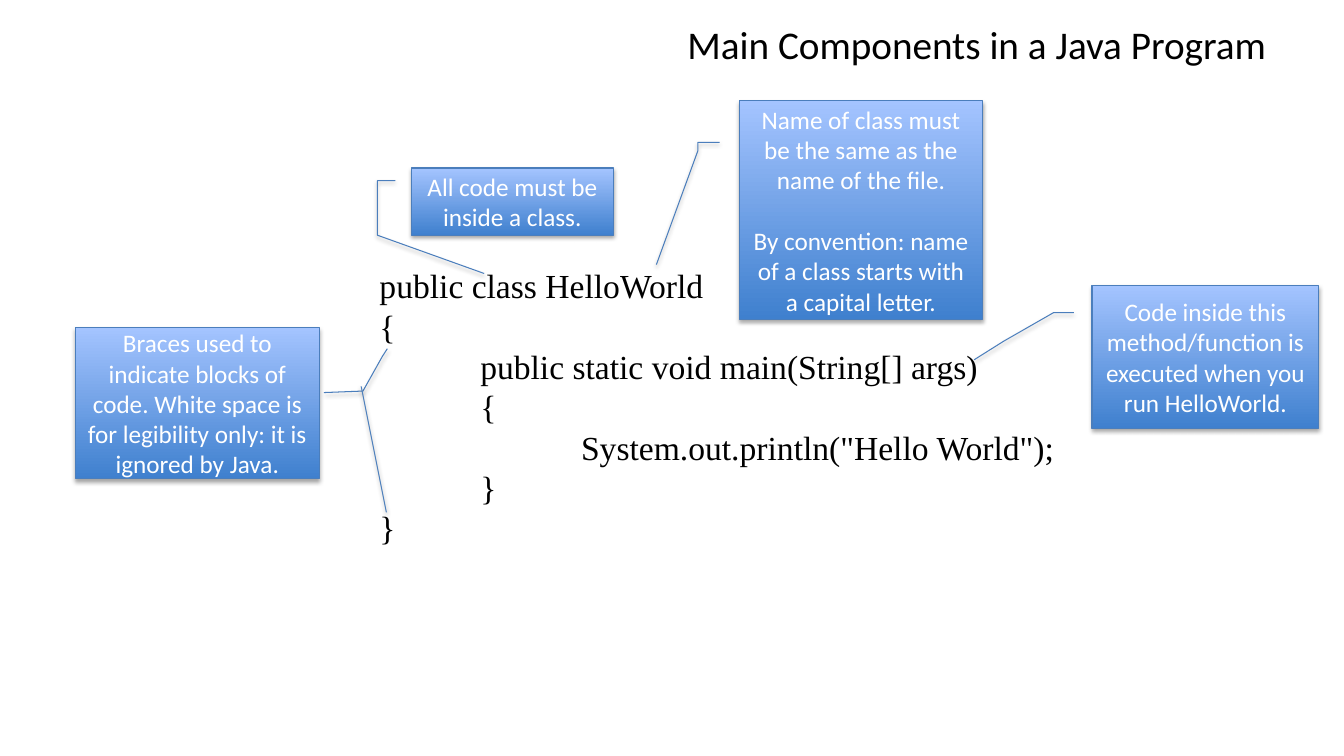
from lxml import etree
from pptx import Presentation
from pptx.dml.color import RGBColor
from pptx.enum.shapes import MSO_CONNECTOR, MSO_SHAPE
from pptx.enum.text import MSO_ANCHOR, MSO_AUTO_SIZE, PP_ALIGN
from pptx.oxml.ns import qn
from pptx.util import Pt

BLACK = RGBColor(0x00, 0x00, 0x00)
WHITE = RGBColor(0xFF, 0xFF, 0xFF)
DEEP_BLUE = RGBColor(0x3F, 0x80, 0xCE)
PALE_BLUE = RGBColor(0xA4, 0xC4, 0xFF)
BORDER = RGBColor(0x4B, 0x7E, 0xBC)
BRACE_LINE = RGBColor(0x4F, 0x81, 0xBD)

# Content: boxes are left, top, width, height in points
TITLE = "Main Components in a Java Program"
TITLE_BOX = (285, 0, 626.5, 62.5)
CODE = [
    "public class HelloWorld",
    "{",
    "\tpublic static void main(String[] args)",
    "\t{",
    '\t\tSystem.out.println("Hello World");',
    "\t}",
    "}",
]
CODE_BOX = (264, 186, 606, 211)
TAB = 72

# Callouts: box, leader points as (y, x) fractions of the box, paragraphs
CALLOUTS = [
    ((294, 120, 144, 48),
     [(0.19, -0.08), (0.19, -0.17), (1, -0.17), (1.57, 0.36)],
     ["All code must be inside a class."]),
    ((528, 72, 174, 156),
     [(0.19, -0.08), (0.19, -0.17), (0.23, -0.17), (0.75, -0.34)],
     ["Name of class must be the same as the name of the file.",
      "By convention: name of a class starts with a capital letter."]),
    ((54, 234, 174, 108),
     [(0.43, 1.02), (0.42, 1.18), (0.19, 1.26), (0.14, 1.28)],
     ["Braces used to indicate blocks of code. White space is for "
      "legibility only: it is ignored by Java."]),
    ((780, 204, 162, 102),
     [(0.19, -0.08), (0.19, -0.17), (0.39, -0.39), (0.52, -0.52)],
     ["Code inside this method/function is executed when you run HelloWorld."]),
]
PARAGRAPH_GAP = 22
CLOSING_BRACE_LINE = (258, 276, 276, 366)

TITLE_FONT = {"name": "Calibri", "size": Pt(28)}
CODE_FONT = {"name": "Times New Roman", "size": Pt(24)}
CALLOUT_FONT = {"name": "Calibri", "size": Pt(18)}


def points(values):
    return [Pt(v) for v in values]


def write(tf, lines, font, color, align, gap=0):
    for i, line in enumerate(lines):
        p = tf.paragraphs[0] if i == 0 else tf.add_paragraph()
        p.alignment = align
        if i and gap:
            p.space_before = Pt(gap)
        r = p.add_run()
        r.text = line
        for key, value in font.items():
            setattr(r.font, key, value)
        r.font.color.rgb = color


def outline(sp, color):
    sp.line.color.rgb = color
    sp.line.width = Pt(0.75)


def add_shadow(sp, distance, opacity):
    effects = etree.SubElement(sp._element.spPr, qn("a:effectLst"))
    shadow = etree.SubElement(
        effects, qn("a:outerShdw"), blurRad=str(Pt(3.1)),
        dist=str(Pt(distance)), dir="5400000", rotWithShape="0")
    black = etree.SubElement(shadow, qn("a:srgbClr"), val=str(BLACK))
    etree.SubElement(black, qn("a:alpha"), val=str(opacity * 1000))


def add_callout(slide, box, leader, lines):
    sp = slide.shapes.add_shape(MSO_SHAPE.LINE_CALLOUT_3, *points(box))
    for i, value in enumerate(v for point in leader for v in point):
        sp.adjustments[i] = value
    sp.fill.gradient()
    sp.fill.gradient_angle = 90
    for stop, color in zip(sp.fill.gradient_stops, (DEEP_BLUE, PALE_BLUE)):
        stop.color.rgb = color
    for stop, position in zip(sp.fill.gradient_stops, (0, 1)):
        stop.position = position
    outline(sp, BORDER)
    add_shadow(sp, 1.8, 35)
    tf = sp.text_frame
    tf.word_wrap = True
    tf.vertical_anchor = MSO_ANCHOR.MIDDLE
    write(tf, lines, CALLOUT_FONT, WHITE, PP_ALIGN.CENTER, PARAGRAPH_GAP)


def main():
    prs = Presentation()
    prs.slide_width, prs.slide_height = Pt(960), Pt(540)
    slide = prs.slides.add_slide(prs.slide_layouts[5])

    # Title
    title = slide.shapes.title
    title.left, title.top, title.width, title.height = points(TITLE_BOX)
    title.text_frame.vertical_anchor = MSO_ANCHOR.MIDDLE
    write(title.text_frame, [TITLE], TITLE_FONT, BLACK, PP_ALIGN.RIGHT)

    # Program listing
    tf = slide.shapes.add_textbox(*points(CODE_BOX)).text_frame
    tf.word_wrap = True
    tf.auto_size = MSO_AUTO_SIZE.SHAPE_TO_FIT_TEXT
    write(tf, CODE, CODE_FONT, BLACK, PP_ALIGN.LEFT)
    for p in tf.paragraphs:
        p._p.get_or_add_pPr().set("defTabSz", str(Pt(TAB)))

    # Callouts
    for box, leader, lines in CALLOUTS:
        add_callout(slide, box, leader, lines)

    # Second leader, to the closing brace
    line = slide.shapes.add_connector(
        MSO_CONNECTOR.STRAIGHT, *points(CLOSING_BRACE_LINE))
    outline(line, BRACE_LINE)
    add_shadow(line, 1.6, 38)

    prs.save("out.pptx")


if __name__ == "__main__":
    main()
